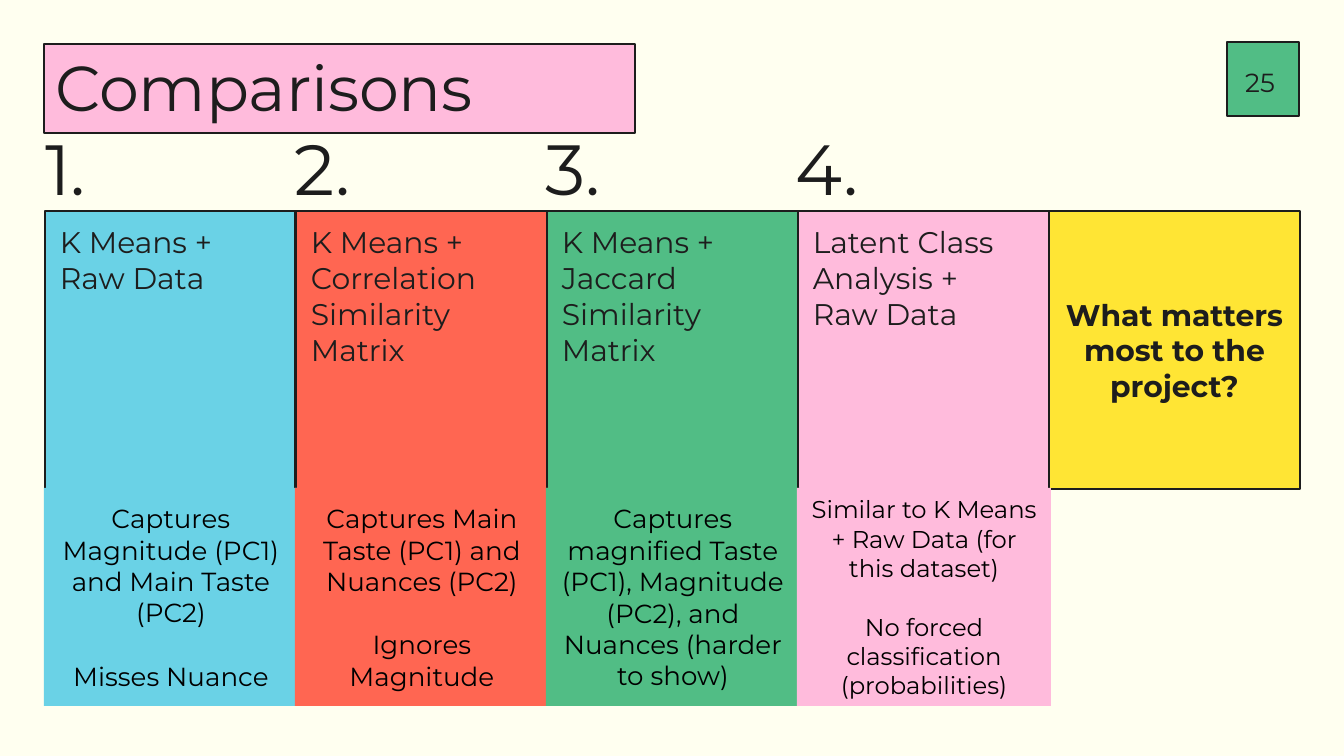
"""Build a slide that compares four clustering methods in coloured columns."""
import pptx
import pptx.dml.color
import pptx.enum.shapes
import pptx.enum.text
import pptx.util

RGB = pptx.dml.color.RGBColor
ALIGN = pptx.enum.text.PP_ALIGN
ANCHOR = pptx.enum.text.MSO_ANCHOR
FIT = pptx.enum.text.MSO_AUTO_SIZE
RECT = pptx.enum.shapes.MSO_SHAPE.RECTANGLE

IVORY = RGB(0xFF, 0xFF, 0xF0)
INK = RGB(0x1D, 0x1D, 0x1D)
BLACK = RGB(0, 0, 0)
BLUE = RGB(0x6A, 0xD2, 0xE6)
RED = RGB(0xFF, 0x66, 0x52)
GREEN = RGB(0x51, 0xBD, 0x85)
PINK = RGB(0xFF, 0xBB, 0xDC)
YELLOW = RGB(0xFF, 0xE5, 0x34)

TITLE = "Comparisons"
PAGE = "25"
METHODS = [
    (BLUE, ["K Means +", "Raw Data"], 14,
     ["Captures Magnitude (PC1) and Main Taste (PC2)", "Misses Nuance"]),
    (RED, ["K Means + Correlation Similarity Matrix"], 14,
     ["Captures Main Taste (PC1) and Nuances (PC2)", "Ignores Magnitude"]),
    (GREEN, ["K Means +", "Jaccard Similarity Matrix"], 14,
     ["Captures magnified Taste (PC1), Magnitude (PC2), and Nuances (harder to show)"]),
    (PINK, ["Latent Class Analysis +", "Raw Data"], 13,
     ["Similar to K Means + Raw Data (for this dataset)",
      "No forced classification (probabilities)"]),
]
ASK = "What matters most to the project?"

SCALE = 914400 / 134.4
PITCH = 251
CARD = dict(left=45, top=211, width=PITCH, height=278)
NOTE = dict(left=44, top=488, width=254, height=218)
COUNT = dict(left=32, top=128, width=230, height=95)
COUNT_PITCH = 250
INSET = (13, 13, 13, 13)
LINE_RATIO = 1.22


def px(n):
    return pptx.util.Emu(round(n * SCALE))


def spot(box, col=0, pitch=PITCH):
    return [px(box["left"] + col * pitch)] + [px(box[key]) for key in ("top", "width", "height")]


def paint(shape, fill, edge=True):
    shape.fill.solid()
    shape.fill.fore_color.rgb = fill
    if edge:
        shape.line.color.rgb = INK
        shape.line.width = pptx.util.Pt(1.5)
    else:
        shape.line.fill.background()


def write(shape, lines, size, color=INK, bold=False, gap=0, inset=INSET,
          align=ALIGN.LEFT, anchor=ANCHOR.TOP, fit=FIT.NONE, lead=1.0):
    frame = shape.text_frame
    sides = ("margin_left", "margin_top", "margin_right", "margin_bottom")
    form = dict(zip(sides, map(px, inset)), word_wrap=True, auto_size=fit, vertical_anchor=anchor)
    for key, value in form.items():
        setattr(frame, key, value)
    face = dict(name="Montserrat", size=pptx.util.Pt(size), bold=bold)
    for i, line in enumerate(lines):
        para = frame.add_paragraph() if i else frame.paragraphs[0]
        para.alignment = align
        para.line_spacing = lead
        para.space_before = pptx.util.Pt(gap if i else 0)
        run = para.add_run()
        run.text = line
        for key, value in face.items():
            setattr(run.font, key, value)
        run.font.color.rgb = color


def block(slide, place, fill, edge=True):
    shape = slide.shapes.add_shape(RECT, *place)
    shape.shadow.inherit = False
    paint(shape, fill, edge)
    return shape


def main():
    deck = pptx.Presentation()
    deck.slide_width, deck.slide_height = px(1344), px(756)
    slide = deck.slides.add_slide(deck.slide_layouts[5])
    slide.background.fill.solid()
    slide.background.fill.fore_color.rgb = IVORY

    title = slide.shapes.title
    title.left, title.top, title.width, title.height = map(px, (44, 44, 591, 89))
    paint(title, PINK)
    write(title, [TITLE], 34, inset=(11, 19, 13, 0), lead=0.8)

    mid = dict(align=ALIGN.CENTER, anchor=ANCHOR.MIDDLE)
    badge = block(slide, map(px, (1227, 42, 72, 74)), GREEN)
    write(badge, [PAGE], 14, inset=(10, 13, 16, 8), **mid)

    ask = block(slide, spot(CARD, len(METHODS)), YELLOW)
    write(ask, [ASK], 16, bold=True, **mid)

    for col, (fill, name, size, notes) in enumerate(METHODS):
        card = block(slide, spot(CARD, col), fill)
        write(card, name, 16, inset=(15, 13, 13, 13))
        count = slide.shapes.add_textbox(*spot(COUNT, col, COUNT_PITCH))
        write(count, [f"{col + 1}."], 38, fit=FIT.SHAPE_TO_FIT_TEXT, lead=0.8)

    for col, (fill, name, size, notes) in enumerate(METHODS):
        note = block(slide, spot(NOTE, col), fill, edge=False)
        write(note, notes, size, BLACK, gap=round(size * LINE_RATIO), **mid)

    deck.save("out.pptx")


if __name__ == "__main__":
    main()
